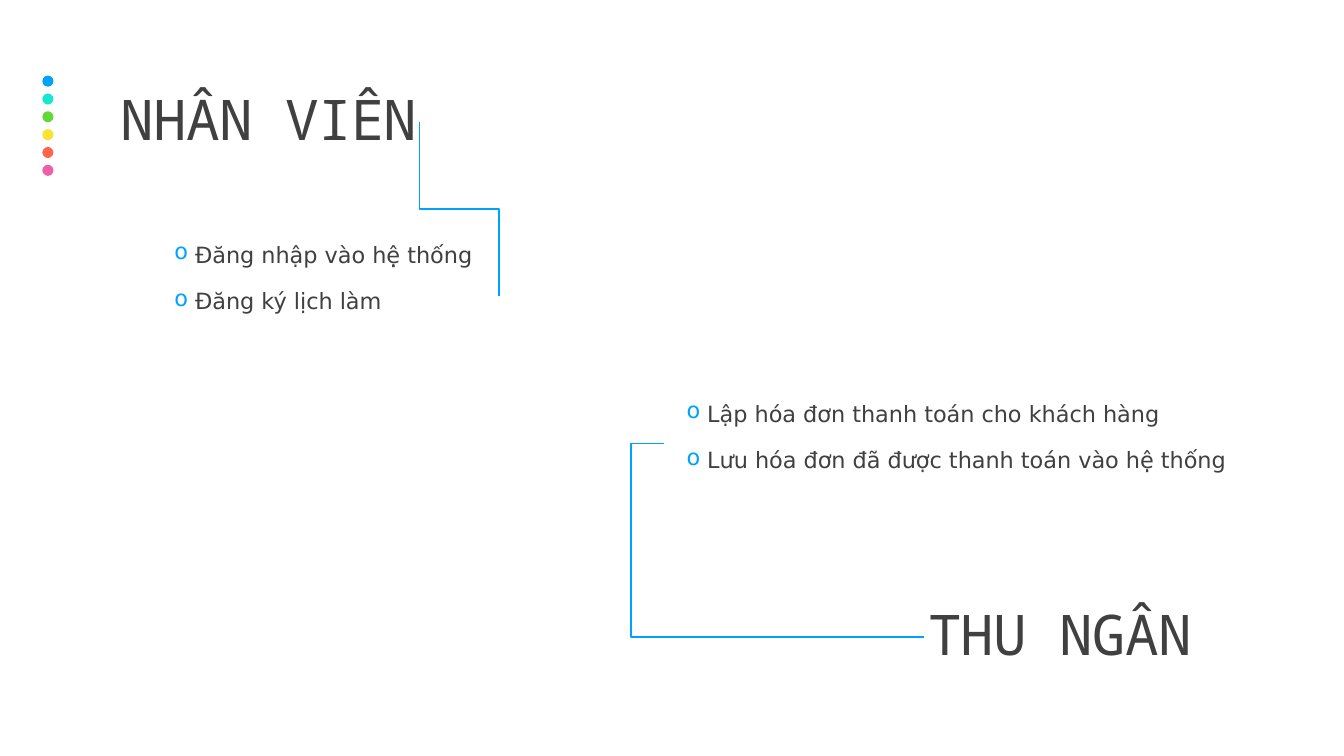
from lxml.etree import SubElement
from pptx import Presentation
from pptx.dml.color import RGBColor
from pptx.enum.shapes import MSO_CONNECTOR, MSO_SHAPE
from pptx.enum.text import MSO_ANCHOR, MSO_AUTO_SIZE, PP_ALIGN
from pptx.oxml.ns import qn
from pptx.util import Inches, Pt

BLUE = "00A2FF"
GREY = "404040"


def paint(color, code):
    color.rgb = RGBColor.from_string(code)


def write(box, lines, font, size, anchor):
    """Fill a text frame and return its paragraphs."""
    frame = box.text_frame
    frame.text = "\n".join(lines)
    frame.word_wrap = True
    frame.auto_size = MSO_AUTO_SIZE.NONE
    frame.vertical_anchor = anchor
    frame.margin_left = frame.margin_right = 0
    frame.margin_top = frame.margin_bottom = Inches(0.05)
    for par in frame.paragraphs:
        par.font.name = font
        par.font.size = Pt(size)
        paint(par.font.color, GREY)
    return frame.paragraphs


deck = Presentation()
deck.slide_width = Inches(13.33)
deck.slide_height = Inches(7.5)
slide = deck.slides.add_slide(deck.slide_layouts[5])
shapes = slide.shapes

# Column of coloured dots
dots = [BLUE, "16E7CF", "61D836", "FAE232", "FF644E", "EF5FA7"]
for i, code in enumerate(dots):
    dot = shapes.add_shape(MSO_SHAPE.OVAL, Inches(0.42), Inches(0.75 + i * 0.177),
                           Inches(0.11), Inches(0.11))
    dot.shadow.inherit = False
    dot.fill.solid()
    paint(dot.fill.fore_color, code)
    dot.line.fill.background()

# Role headings
title = shapes.title
title.left, title.top = Inches(1.2), Inches(0.46)
title.width, title.height = Inches(6.29), Inches(1.5)
second = shapes.add_textbox(Inches(5.53), Inches(5.57), Inches(6.29), Inches(1.5))
heads = [(title, "NHÂN VIÊN", PP_ALIGN.LEFT),
         (second, "THU NGÂN", PP_ALIGN.RIGHT)]
for box, text, align in heads:
    par = write(box, [text], "Noto Sans Mono", 40, MSO_ANCHOR.MIDDLE)[0]
    par.alignment = align
    par.line_spacing = 0.9
    par.runs[0].font._element.set("spc", "-50")

# Task lists
lists = [
    (1.73, 2.34, 3.95, 1.21, [" Đăng nhập vào hệ thống", " Đăng ký lịch làm"]),
    (6.81, 3.92, 5.68, 1.5, [" Lập hóa đơn thanh toán cho khách hàng",
                             " Lưu hóa đơn đã được thanh toán vào hệ thống"]),
]
for x, y, w, h, tasks in lists:
    box = shapes.add_textbox(Inches(x), Inches(y), Inches(w), Inches(h))
    for par in write(box, tasks, "DejaVu Sans", 16, MSO_ANCHOR.TOP):
        par.space_before = Pt(12)
        par.space_after = Pt(2)
        props = par._p.get_or_add_pPr()
        props.set("marL", str(Inches(0.1)))
        props.set("indent", str(Inches(-0.1)))
        tint = SubElement(props, qn("a:buClr"))
        SubElement(tint, qn("a:srgbClr"), val=BLUE)
        SubElement(props, qn("a:buChar"), char="o")

# Elbow links: ends, turn in degrees, place of the bend
links = [(5.42, 1.68, 3.69, 2.47, 270, 0.5),
         (6.59, 4.4, 9.16, 6.32, 0, -0.129)]
for x1, y1, x2, y2, turn, bend in links:
    link = shapes.add_connector(MSO_CONNECTOR.ELBOW, Inches(x1), Inches(y1),
                                Inches(x2), Inches(y2))
    link.line.width = Pt(1)
    paint(link.line.color, BLUE)
    props = link._element.spPr
    props.find(qn("a:xfrm")).set("rot", str(turn * 60000))
    guides = props.find(qn("a:prstGeom")).find(qn("a:avLst"))
    SubElement(guides, qn("a:gd"), name="adj1", fmla=f"val {round(bend * 100000)}")
    SubElement(props, qn("a:effectLst"))

deck.save("out.pptx")
